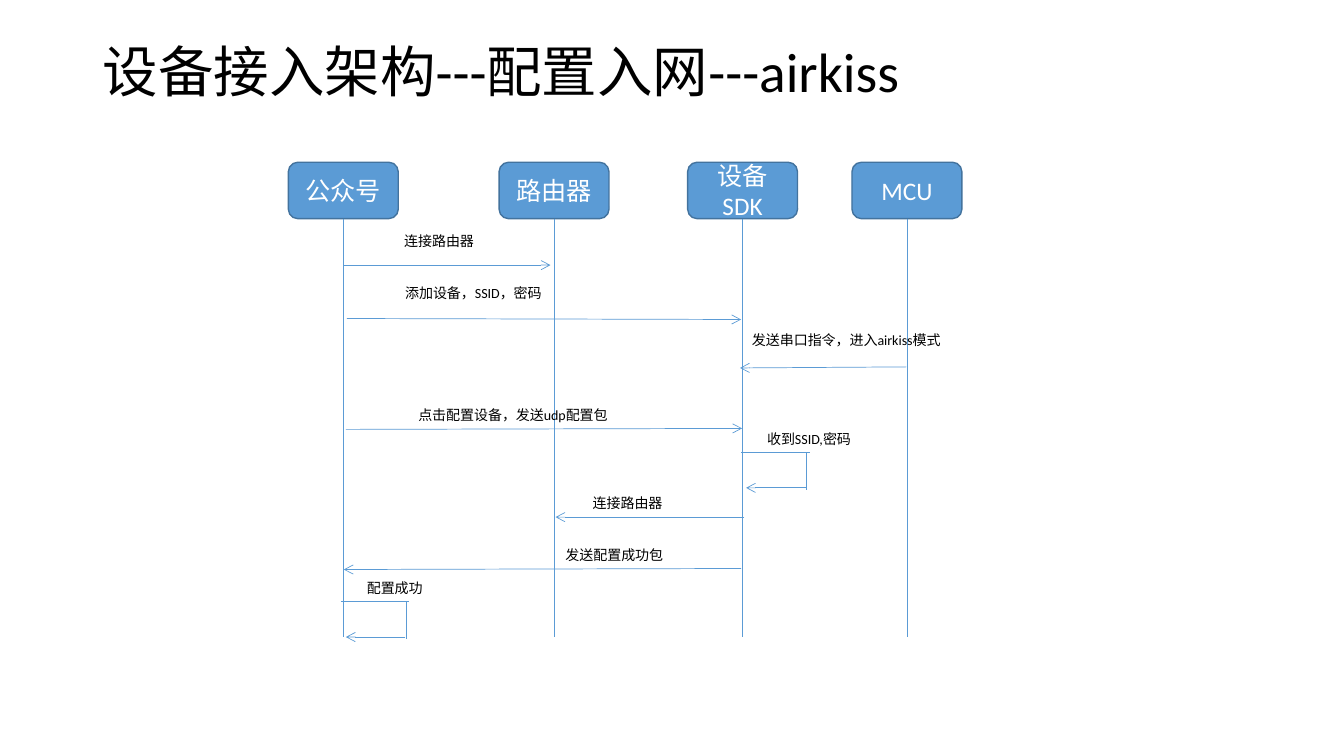
from pptx import Presentation
from pptx.dml.color import RGBColor
from pptx.enum import shapes, text
from pptx.oxml import parse_xml
from pptx.oxml.ns import nsdecls
from pptx.util import Inches, Pt

BLUE, OUTLINE, WHITE, BLACK = "5B9BD5", "43739E", "FFFFFF", "000000"


def style_text(frame, size, color, font="Calibri"):
    for paragraph in frame.paragraphs:
        for run in paragraph.runs:
            run.font.size = Pt(size)
            run.font.name = font
            run.font.color.rgb = RGBColor.from_string(color)


def draw_line(x1, y1, x2, y2, arrow=False):
    line = slide.shapes.add_connector(
        shapes.MSO_CONNECTOR.STRAIGHT, Inches(x1), Inches(y1), Inches(x2), Inches(y2))
    line.line.color.rgb = RGBColor.from_string(BLUE)
    line.line.width = Pt(0.5)
    if arrow:
        line.line._get_or_add_ln().append(
            parse_xml(f'<a:tailEnd {nsdecls("a")} type="arrow"/>'))
    line._element.spPr.append(parse_xml(f'<a:effectLst {nsdecls("a")}/>'))
    return line


prs = Presentation()
prs.slide_width, prs.slide_height = Inches(13.33), Inches(7.5)
slide = prs.slides.add_slide(prs.slide_layouts[5])

title = slide.shapes.title
title.left, title.top = Inches(0.92), Inches(0.4)
title.width, title.height = Inches(11.5), Inches(0.68)
heading = title.text_frame
heading.text = "设备接入架构---配置入网---airkiss"
heading.auto_size = text.MSO_AUTO_SIZE.NONE
heading.vertical_anchor = text.MSO_ANCHOR.MIDDLE
heading.paragraphs[0].alignment = text.PP_ALIGN.LEFT
heading.paragraphs[0].line_spacing = 0.9
style_text(heading, 39.6, BLACK)

# Participants with their lifelines
participants = [
    ("公众号", 2.86, "Noto Sans CJK SC"),
    ("路由器", 4.95, "Calibri"),
    ("设备\nSDK", 6.82, "Calibri"),
    ("MCU", 8.45, "Calibri"),
]
for name, left, font in participants:
    participant = slide.shapes.add_shape(
        shapes.MSO_SHAPE.ROUNDED_RECTANGLE,
        Inches(left), Inches(1.61), Inches(1.09), Inches(0.56))
    participant.shadow.inherit = False
    participant.fill.solid()
    participant.fill.fore_color.rgb = RGBColor.from_string(BLUE)
    participant.line.color.rgb = RGBColor.from_string(OUTLINE)
    participant.line.width = Pt(1)
    frame = participant.text_frame
    frame.text = name
    frame.vertical_anchor = text.MSO_ANCHOR.MIDDLE
    for paragraph in frame.paragraphs:
        paragraph.alignment = text.PP_ALIGN.CENTER
    style_text(frame, 18, WHITE, font)
    center = left + 1.09 / 2
    lifeline = draw_line(center, 2.17, center, 6.32)
    lifeline.begin_connect(participant, 2)

# Messages between participants: start and end
messages = [
    (3.41, 2.63, 5.46, 2.63),
    (3.44, 3.16, 7.35, 3.17),
    (8.99, 3.64, 7.34, 3.65),
    (3.43, 4.26, 7.36, 4.25),
    (7.38, 5.13, 5.51, 5.13),
    (7.35, 5.64, 3.41, 5.65),
]
for message in messages:
    draw_line(*message, arrow=True)

# Messages a participant sends to itself
for left, top in [(7.35, 4.49), (3.38, 5.97)]:
    draw_line(left, top, left + 0.68, top)
    draw_line(left + 0.65, top, left + 0.65, top + 0.37)
    draw_line(left + 0.64, top + 0.35, left + 0.05, top + 0.35, arrow=True)

# Message captions: left, top, width
captions = [
    ("连接路由器", 3.91, 2.26, 0.91),
    ("添加设备，SSID，密码", 3.92, 2.77, 1.56),
    ("发送串口指令，进入airkiss模式", 7.36, 3.24, 2.08),
    ("点击配置设备，发送udp配置包", 4.05, 3.98, 2.09),
    ("收到SSID,密码", 7.51, 4.22, 1.04),
    ("连接路由器", 5.78, 4.86, 0.91),
    ("发送配置成功包", 5.51, 5.37, 1.19),
    ("配置成功", 3.54, 5.7, 0.78),
]
for wording, left, top, width in captions:
    caption = slide.shapes.add_textbox(
        Inches(left), Inches(top), Inches(width), Inches(0.27)).text_frame
    caption.word_wrap = True
    caption.text = wording
    style_text(caption, 10, BLACK)

prs.save("out.pptx")
